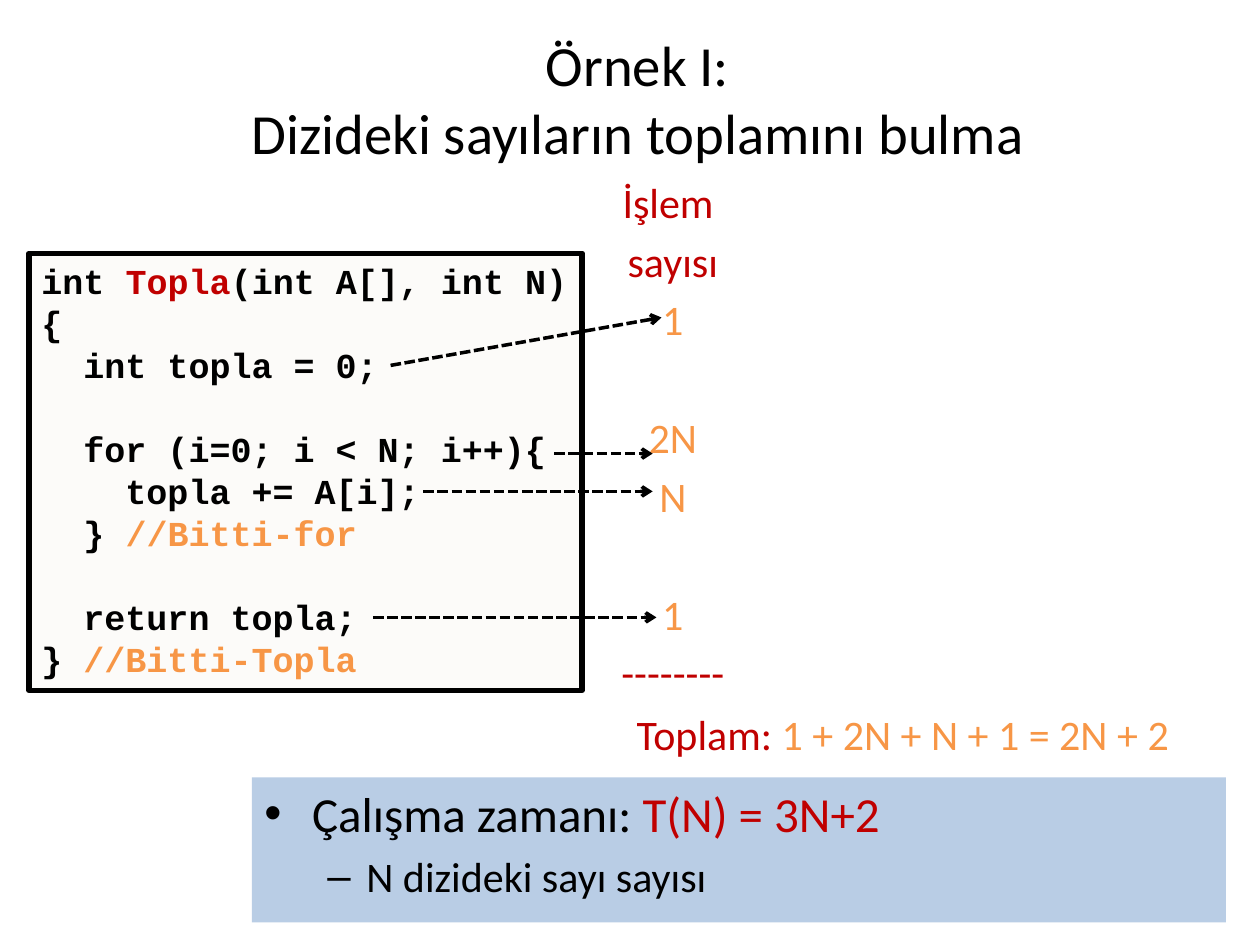
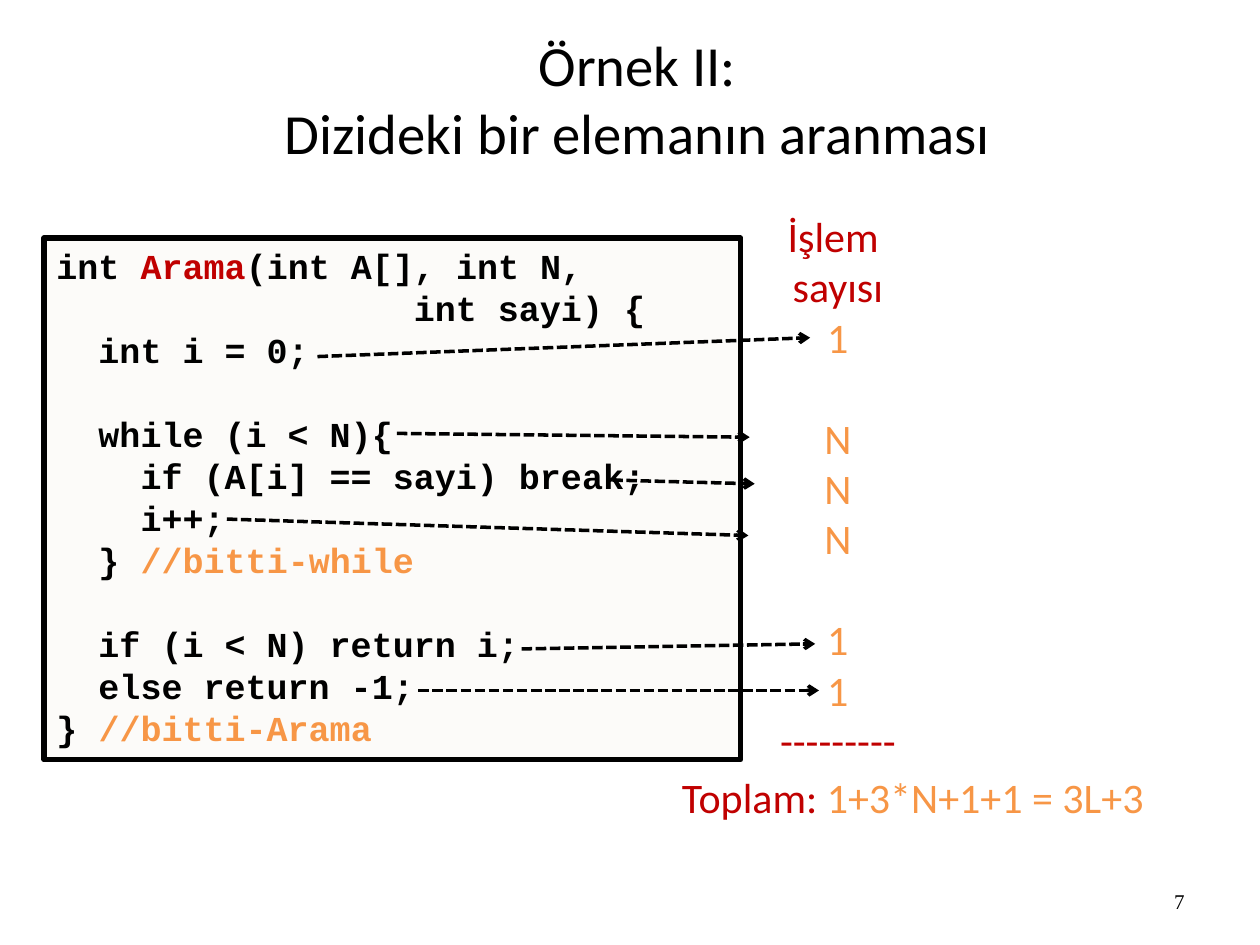
from lxml.etree import SubElement
from pptx import Presentation
from pptx.dml.color import RGBColor
from pptx.enum.dml import MSO_LINE
from pptx.enum.shapes import MSO_CONNECTOR, MSO_SHAPE
from pptx.enum.text import MSO_ANCHOR, MSO_AUTO_SIZE, PP_ALIGN
from pptx.oxml.ns import qn
from pptx.util import Inches, Pt

BLACK, RED, ORANGE = "000000", "C00000", "F79646"
CODE_FILL, RESULT_FILL = "FCFBF9", "B9CDE5"
CODE_LINE, COUNT_LINE = 24.1, 28.9  # height of one text line in points


def color(value):
    return RGBColor.from_string(value)


def write(frame, lines, font, size, align=PP_ALIGN.LEFT, bold=False, space=0, line_height=0):
    """Write one paragraph per line of (text, colour) spans; an empty line widens the gap."""
    frame.word_wrap = True
    frame.auto_size = MSO_AUTO_SIZE.NONE
    gap, para = 0, None
    for line in lines:
        if not line:
            gap += line_height + space
            continue
        if para is None:
            para = frame.paragraphs[0]
        else:
            para = frame.add_paragraph()
            para.space_before = Pt(space + gap)
        gap = 0
        para.alignment = align
        para.font.name, para.font.size, para.font.bold = font, Pt(size), bold
        line_colors = {span_color for _, span_color in line}
        if len(line_colors) == 1:
            para.font.color.rgb = color(line[0][1])
        for text, span_color in line:
            span = para.add_run()
            span.text = text
            if len(line_colors) > 1:
                span.font.color.rgb = color(span_color)


examples = [
    {
        "title": "Örnek I:\vDizideki sayıların toplamını bulma",
        "code_at": (0.23, 2.01, 4.39, 3.47),
        "code": [
            [("int ", BLACK), ("Topla", RED), ("(int A[], int N) {", BLACK)],
            [("  int topla = 0;", BLACK)],
            [],
            [("  for (i=0; i < N; i++){", BLACK)],
            [("    topla += A[i];", BLACK)],
            [("  } ", BLACK), ("//Bitti-for", ORANGE)],
            [],
            [("  return topla;", BLACK)],
            [("} ", BLACK), ("//Bitti-Topla", ORANGE)],
        ],
        "counts_at": (4.29, 1.35, 2.1, 4.25),
        "counts": ["1", "", "2N", "N", "", "1"],
        "count_space": 4.8,
        "rule": "--------",
        "total_at": (4.75, 5.57, 4.83, 0.58),
        "total": "1 + 2N + N + 1 = 2N + 2",
        "arrows": [(3.1, 2.9, 5.25, 2.52), (4.4, 3.6, 5.18, 3.6),
                   (3.36, 3.9, 5.18, 3.9), (2.96, 4.9, 5.21, 4.9)],
    },
    {
        "title": "Örnek II:\vDizideki bir elemanın aranması",
        "code_at": (0.35, 1.89, 5.53, 4.14),
        "code": [
            [("int ", BLACK), ("Arama", RED), ("(int A[], int N,", BLACK)],
            [("                 int sayi) {", BLACK)],
            [("  int i = 0;", BLACK)],
            [],
            [("  while (i < N){", BLACK)],
            [("    if (A[i] == sayi) break;", BLACK)],
            [("    i++;", BLACK)],
            [("  } ", BLACK), ("//bitti-while", ORANGE)],
            [],
            [("  if (i < N) return i;", BLACK)],
            [("  else return -1;", BLACK)],
            [("} ", BLACK), ("//bitti-Arama", ORANGE)],
        ],
        "counts_at": (5.55, 1.62, 2.2, 4.54),
        "counts": ["1", "", "N", "N", "N", "", "1", "1"],
        "count_space": 0,
        "rule": "---------",
        "total_at": (4.86, 6.07, 4.77, 0.59),
        "total": "1+3*N+1+1 = 3L+3",
        "arrows": [(2.52, 2.83, 6.43, 2.68), (3.15, 3.44, 5.95, 3.47),
                   (4.86, 3.81, 5.99, 3.84), (1.8, 4.12, 5.94, 4.25),
                   (4.14, 5.15, 6.47, 5.11), (3.32, 5.48, 6.5, 5.48)],
    },
]

deck = Presentation()
deck.slide_width, deck.slide_height = Inches(10), Inches(7.5)
pages = []

for example in examples:
    page = deck.slides.add_slide(deck.slide_layouts[5])
    pages.append(page)

    # Title
    title = page.shapes.title
    title.left, title.top, title.width, title.height = map(Inches, (0.29, 0.15, 9.54, 1.25))
    title.text_frame.vertical_anchor = MSO_ANCHOR.MIDDLE
    title.text_frame.auto_size = MSO_AUTO_SIZE.NONE
    title.text_frame.text = example["title"]
    title_para = title.text_frame.paragraphs[0]
    title_para.alignment = PP_ALIGN.CENTER
    title_para.font.name, title_para.font.size = "Calibri", Pt(32.4)
    title_para.font.color.rgb = color(BLACK)

    # Operation counts
    counts_box = page.shapes.add_textbox(*map(Inches, example["counts_at"]))
    count_lines = [[("İşlem ", RED)], [("sayısı", RED)]]
    count_lines += [[(count, ORANGE)] if count else [] for count in example["counts"]]
    count_lines.append([(example["rule"], RED)])
    write(counts_box.text_frame, count_lines, "Calibri", 24, PP_ALIGN.CENTER,
          space=example["count_space"], line_height=COUNT_LINE)

    # Total
    total_box = page.shapes.add_textbox(*map(Inches, example["total_at"]))
    write(total_box.text_frame, [[("Toplam: ", RED), (example["total"], ORANGE)]],
          "Calibri", 24, PP_ALIGN.CENTER)

    # Code
    code_box = page.shapes.add_shape(MSO_SHAPE.RECTANGLE, *map(Inches, example["code_at"]))
    code_box.shadow.inherit = False
    code_box.fill.solid()
    code_box.fill.fore_color.rgb = color(CODE_FILL)
    code_box.line.color.rgb = color(BLACK)
    code_box.line.width = Pt(3)
    code_box.text_frame.vertical_anchor = MSO_ANCHOR.TOP
    write(code_box.text_frame, example["code"], "Courier New", 20, bold=True,
          line_height=CODE_LINE)

    # Arrows from code lines to their counts
    for ends in example["arrows"]:
        arrow = page.shapes.add_connector(MSO_CONNECTOR.STRAIGHT, *map(Inches, ends))
        arrow.line.color.rgb = color(BLACK)
        arrow.line.width = Pt(2)
        arrow.line.dash_style = MSO_LINE.SQUARE_DOT
        SubElement(arrow.line._get_or_add_ln(), qn("a:tailEnd"), type="arrow")
        SubElement(arrow._element.spPr, qn("a:effectLst"))

# Running time on the first page
result_box = pages[0].shapes.add_shape(
    MSO_SHAPE.RECTANGLE, Inches(2), Inches(6.17), Inches(7.73), Inches(1.15))
result_box.shadow.inherit = False
result_box.fill.solid()
result_box.fill.fore_color.rgb = color(RESULT_FILL)
result_box.line.fill.background()
result_frame = result_box.text_frame
result_frame.vertical_anchor = MSO_ANCHOR.TOP
result_frame.add_paragraph().level = 1
bullets = [
    ("•", 0.38, -0.38, 28, [("Çalışma zamanı: ", BLACK), ("T(N) = 3N+2", RED)]),
    ("–", 0.81, -0.31, 24, [("N dizideki sayı sayısı", BLACK)]),
]
for para, (mark, margin, indent, size, spans) in zip(result_frame.paragraphs, bullets):
    properties = para._p.get_or_add_pPr()
    properties.set("marL", str(Inches(margin)))
    properties.set("indent", str(Inches(indent)))
    SubElement(properties, qn("a:buFont"), typeface="Arial")
    SubElement(properties, qn("a:buChar"), char=mark)
    para.alignment = PP_ALIGN.LEFT
    para.font.name, para.font.size = "Calibri", Pt(size)
    for text, span_color in spans:
        span = para.add_run()
        span.text = text
        span.font.color.rgb = color(span_color)
result_frame.paragraphs[1].space_before = Pt(4.8)

# Page number on the second page
number_box = pages[1].shapes.add_textbox(Inches(7.17), Inches(6.95), Inches(2.33), Inches(0.4))
number_box.text_frame.vertical_anchor = MSO_ANCHOR.MIDDLE
write(number_box.text_frame, [[("7", BLACK)]], "Times New Roman", 12, PP_ALIGN.RIGHT)

deck.save("out.pptx")
